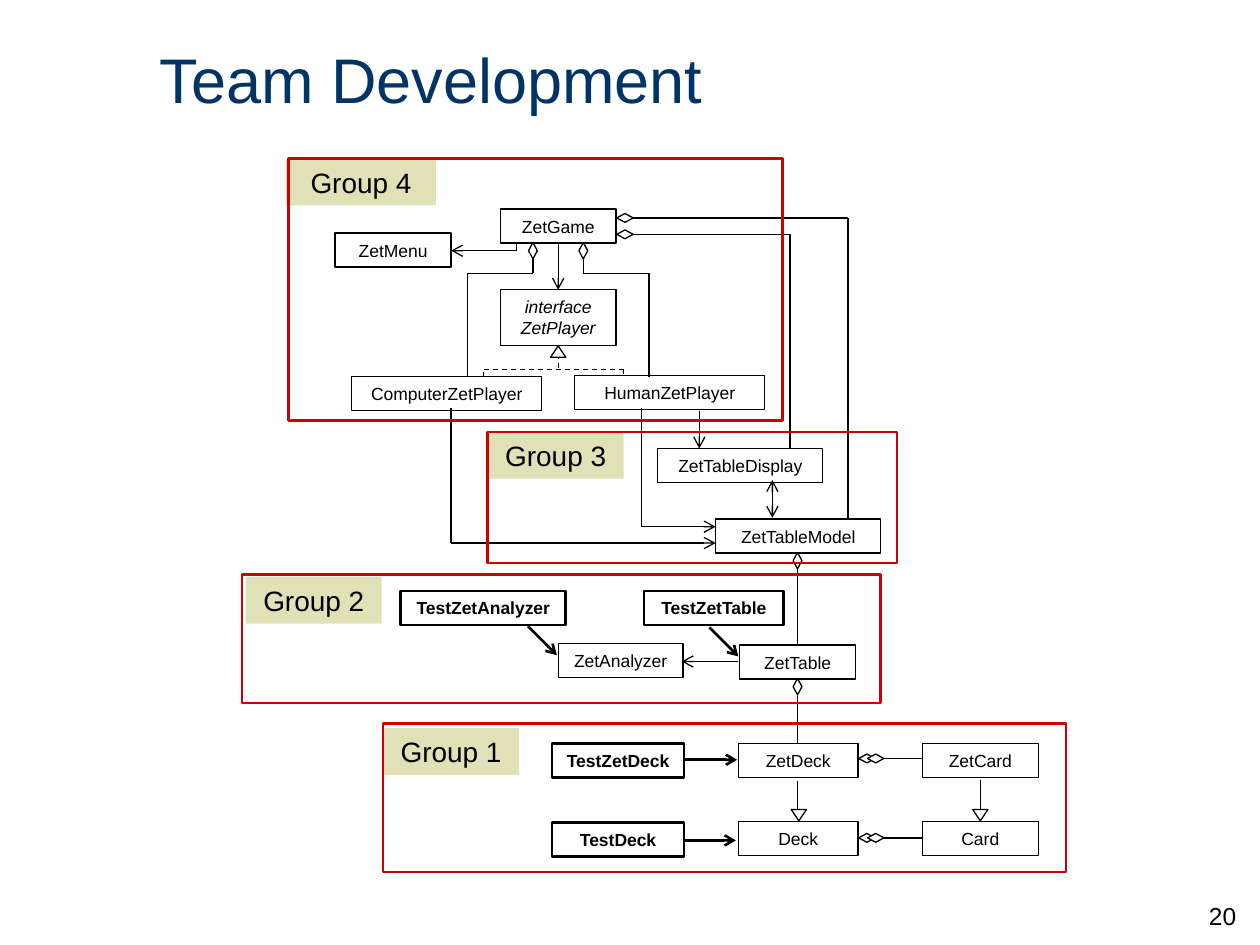
from lxml.etree import SubElement
from pptx import Presentation
from pptx.dml.color import RGBColor
from pptx.enum.dml import MSO_LINE
from pptx.enum.shapes import MSO_CONNECTOR, MSO_SHAPE as Shape
from pptx.enum.text import MSO_ANCHOR as Anchor, PP_ALIGN as Align
from pptx.oxml.ns import qn
from pptx.util import Inches, Pt

THEME = {
    "font": "Arial", "title": "003366", "ink": "000000", "paper": "FFFFFF",
    "tag": "E1E1B7", "frame": "CC0000",
    "title_size": 36, "tag_size": 16, "number_size": 14, "class_size": 10,
    "thin": 0.75, "thick": 1.5,
}
CLASS_HEIGHT, TAG_HEIGHT = 0.27, 0.37

# Groups: name, tag (left, top, width), frame (left, top, width, height)
GROUPS = [
    ("Group 4", (2.27, 1.26, 1.19), (2.29, 1.26, 3.92, 2.08)),
    ("Group 3", (3.87, 3.43, 1.08), (3.87, 3.43, 3.25, 1.04)),
    ("Group 2", (1.95, 4.58, 1.08), (1.92, 4.56, 5.07, 1.02)),
    ("Group 1", (3.04, 5.78, 1.08), (3.04, 5.74, 5.42, 1.18)),
]

# Classes: name, left, top, width
CLASSES = [
    ("ZetGame", 3.97, 1.66, 0.92),
    ("ZetMenu", 2.66, 1.85, 0.92),
    ("ComputerZetPlayer", 2.79, 2.99, 1.51),
    ("HumanZetPlayer", 4.56, 2.98, 1.51),
    ("ZetTableDisplay", 5.22, 3.56, 1.31),
    ("ZetTableModel", 5.68, 4.12, 1.31),
    ("ZetTable", 5.87, 5.12, 0.92),
    ("ZetAnalyzer", 4.43, 5.11, 0.99),
    ("ZetDeck", 5.86, 5.9, 0.95),
    ("ZetCard", 7.32, 5.9, 0.92),
    ("Deck", 5.86, 6.52, 0.95),
    ("Card", 7.32, 6.52, 0.92),
]
INTERFACE = ("interface\nZetPlayer", 3.97, 2.3, 0.92, 0.44)
TESTS = [
    ("TestZetAnalyzer", 3.18, 4.69, 1.31),
    ("TestZetTable", 5.11, 4.69, 1.11),
    ("TestZetDeck", 4.38, 5.9, 1.05),
    ("TestDeck", 4.38, 6.53, 1.05),
]

# Routes are lists of corner points
ARROWS = [
    [(4.1, 1.92), (4.1, 1.99), (3.58, 1.99)],
    [(4.43, 1.92), (4.43, 2.3)],
    [(5.55, 3.26), (5.55, 3.56)],
    [(5.09, 3.24), (5.09, 4.18), (5.68, 4.18)],
    [(3.58, 3.24), (3.58, 4.31), (5.68, 4.31)],
    [(5.86, 5.25), (5.41, 5.25)],
]
TWO_WAY = [(6.13, 3.81), (6.13, 4.11)]
PLAIN = [
    [(4.23, 1.98), (4.23, 2.17), (3.71, 2.17), (3.71, 2.99)],
    [(4.63, 1.98), (4.63, 2.17), (5.15, 2.17), (5.15, 2.99)],
    [(4.95, 1.73), (6.73, 1.73), (6.73, 4.12)],
    [(4.89, 1.86), (6.27, 1.86), (6.27, 3.56)],
    [(6.33, 4.42), (6.33, 5.12)],
    [(6.33, 5.46), (6.33, 5.9)],
    [(6.33, 6.2), (6.33, 6.46)],
    [(7.78, 6.19), (7.78, 6.46)],
    [(7.32, 6.02), (6.86, 6.02)],
    [(7.32, 6.65), (6.86, 6.65)],
]
DASHED = [
    [(4.43, 2.74), (4.43, 2.93)],
    [(3.84, 2.99), (3.84, 2.93), (4.95, 2.93), (4.95, 2.99)],
]
TEST_ARROWS = [
    [(4.19, 4.97), (4.42, 5.2)],
    [(5.63, 4.98), (5.86, 5.21)],
    [(5.43, 6.03), (5.85, 6.03)],
    [(5.43, 6.67), (5.84, 6.67)],
]

# Markers: centre x, centre y, rotation
DIAMONDS = [
    (4.23, 1.99, 0), (4.63, 1.99, 0), (6.33, 4.45, 0), (6.33, 5.45, 0),
    (4.96, 1.73, 90), (4.96, 1.86, 90),
    (6.88, 6.02, 90), (6.95, 6.02, 90), (6.88, 6.65, 90), (6.95, 6.65, 90),
]
TRIANGLES = [(4.43, 2.79, 0), (6.34, 6.47, 180), (7.78, 6.47, 180)]


def color(name):
    return RGBColor.from_string(THEME[name])


def write(box, text, size, ink="ink", align=Align.CENTER, anchor=Anchor.MIDDLE,
          bold=False, italic=False):
    frame = box.text_frame
    frame.word_wrap = True
    frame.vertical_anchor = anchor
    frame.text = text
    for para in frame.paragraphs:
        para.alignment = align
        for span in para.runs:
            font = span.font
            font.name, font.size = THEME["font"], Pt(THEME[size])
            font.bold, font.italic = bold, italic
            font.color.rgb = color(ink)


def add_shape(page, kind, place, fill=None, line=None, weight="thin"):
    shape = page.shapes.add_shape(kind, *map(Inches, place))
    shape.shadow.inherit = False
    if fill:
        shape.fill.solid()
        shape.fill.fore_color.rgb = color(fill)
    else:
        shape.fill.background()
    if line:
        shape.line.color.rgb = color(line)
        shape.line.width = Pt(THEME[weight])
    else:
        shape.line.fill.background()
    return shape


def add_class(page, text, left, top, width, height=CLASS_HEIGHT, weight="thin", **style):
    box = add_shape(page, Shape.RECTANGLE, (left, top, width, height), None, "ink", weight)
    write(box, text, "class_size", **style)


def add_route(page, points, weight="thin", dashed=False, head=False, tail=False):
    last = len(points) - 2
    for index, (start, end) in enumerate(zip(points, points[1:])):
        line = page.shapes.add_connector(MSO_CONNECTOR.STRAIGHT, *map(Inches, start + end))
        line.line.color.rgb = color("ink")
        line.line.width = Pt(THEME[weight])
        if dashed:
            line.line.dash_style = MSO_LINE.DASH
        outline = line.line._get_or_add_ln()
        if head and index == 0:
            SubElement(outline, qn("a:headEnd"), type="arrow")
        if tail and index == last:
            SubElement(outline, qn("a:tailEnd"), type="arrow")
        SubElement(line._element.spPr, qn("a:effectLst"))


def add_markers(page, kind, width, height, markers):
    for x, y, rotation in markers:
        place = (x - width / 2, y - height / 2, width, height)
        add_shape(page, kind, place, "paper", "ink").rotation = rotation


def main():
    deck = Presentation()
    deck.slide_width, deck.slide_height = Inches(10), Inches(7.5)
    page = deck.slides.add_slide(deck.slide_layouts[6])

    # Title and page number
    title = page.shapes.add_textbox(*map(Inches, (1.17, 0.25, 8.5, 0.75)))
    write(title, "Team Development", "title_size", "title", Align.LEFT)
    number = page.shapes.add_textbox(*map(Inches, (7.83, 7.1, 2.08, 0.5)))
    write(number, "20", "number_size", align=Align.RIGHT, anchor=Anchor.TOP)

    # Group tags
    for name, tag, _ in GROUPS:
        box = add_shape(page, Shape.RECTANGLE, (*tag, TAG_HEIGHT), "tag")
        write(box, name, "tag_size")

    # Class boxes
    for item in CLASSES:
        add_class(page, *item)
    add_class(page, *INTERFACE, italic=True)
    for item in TESTS:
        add_class(page, *item, weight="thick", bold=True)

    # Relations
    for route in PLAIN:
        add_route(page, route)
    for route in DASHED:
        add_route(page, route, dashed=True)
    for route in ARROWS:
        add_route(page, route, tail=True)
    add_route(page, TWO_WAY, head=True, tail=True)
    for route in TEST_ARROWS:
        add_route(page, route, weight="thick", tail=True)
    add_markers(page, Shape.DIAMOND, 0.07, 0.13, DIAMONDS)
    add_markers(page, Shape.ISOSCELES_TRIANGLE, 0.12, 0.09, TRIANGLES)

    # Group frames
    for _, _, frame in GROUPS:
        add_shape(page, Shape.RECTANGLE, frame, line="frame", weight="thick")

    deck.save("out.pptx")


if __name__ == "__main__":
    main()
